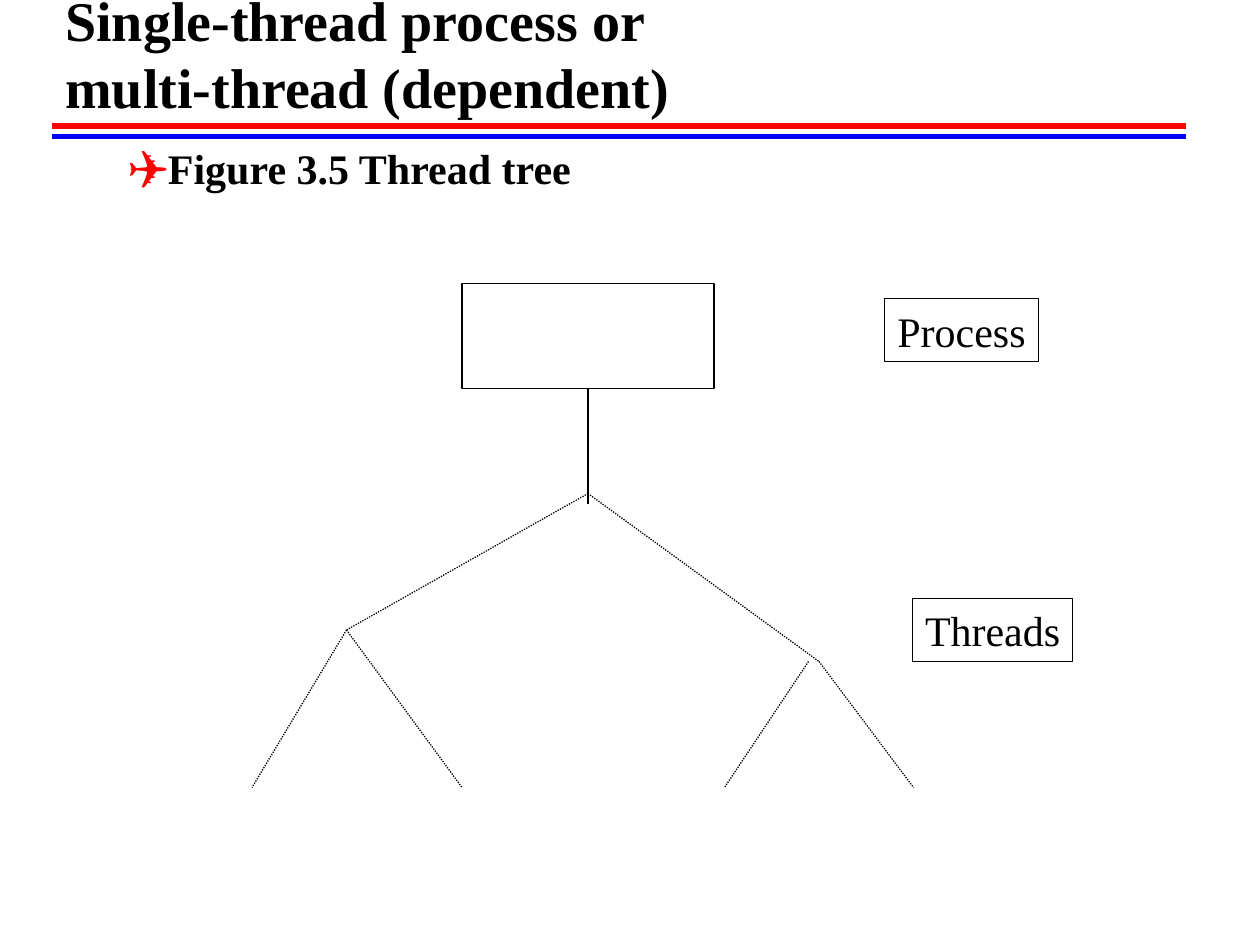
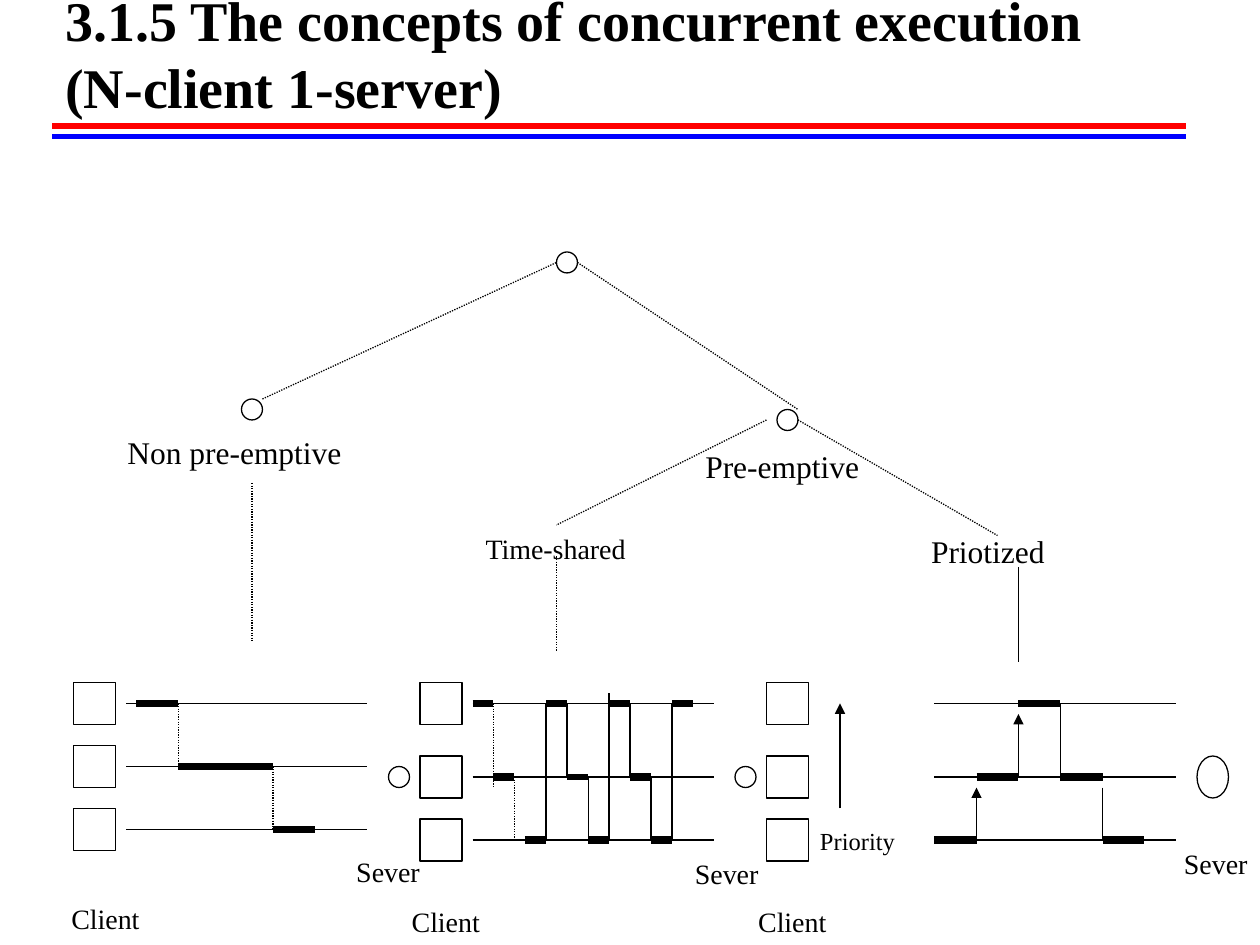
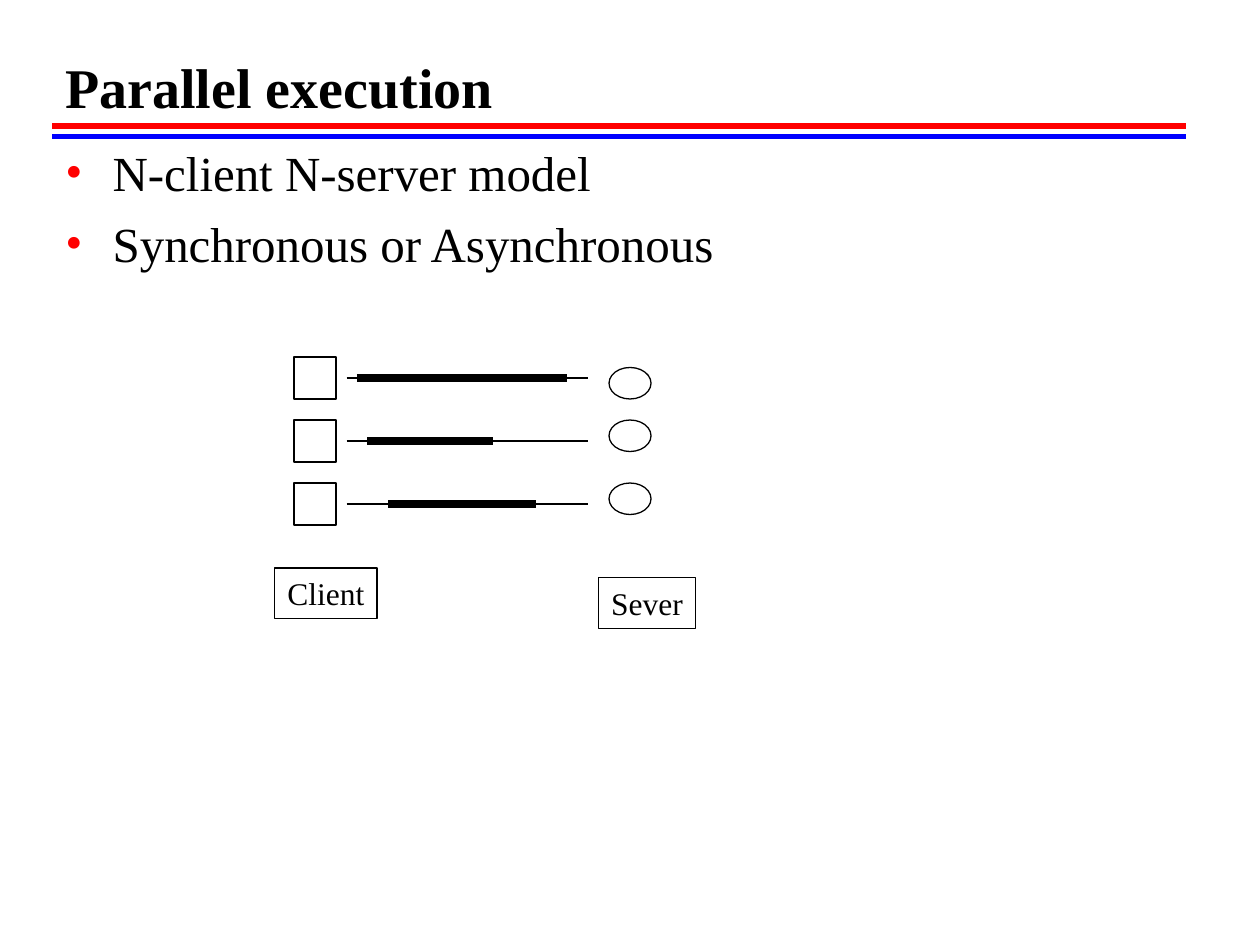
"""Build three slides on threads, concurrent execution and parallel execution."""
from dataclasses import dataclass

import lxml.etree
import pptx
import pptx.dml.color
import pptx.enum.dml
import pptx.enum.shapes
import pptx.enum.text
import pptx.oxml.ns
import pptx.util

Pt = pptx.util.Pt
qn = pptx.oxml.ns.qn
Preset = pptx.enum.shapes.MSO_SHAPE
Anchor = pptx.enum.text.MSO_ANCHOR

FONT = "Times New Roman"
BLACK = "000000"
RED = "FF0000"
BLUE = "0000FF"
THIN = 0.75
BURST_WIDTH = 4.5
CLIENT_SIZE = 24
LANE_LENGTH = 138
NODE_SIZE = 12


@dataclass(frozen=True)
class Link:
    x1: float
    y1: float
    x2: float
    y2: float
    width: float = THIN
    color: str = BLACK
    dotted: bool = False
    arrow: bool = False


@dataclass(frozen=True)
class Outline:
    left: float
    top: float
    width: float
    height: float
    preset: Preset = Preset.RECTANGLE


@dataclass(frozen=True)
class Label:
    text: str
    left: float
    top: float
    width: float
    height: float
    size: float
    boxed: bool = False


@dataclass(frozen=True)
class Burst:
    lane: int
    start: float
    end: float
    width: float = BURST_WIDTH


@dataclass(frozen=True)
class Timeline:
    client_left: float
    lane_left: float
    lanes: tuple[float, ...]
    bursts: tuple[Burst, ...]
    handoffs: tuple[Link, ...] = ()


@dataclass(frozen=True)
class BulletStyle:
    mark: str
    margin: float
    hanging: float
    size: float
    bold: bool
    gap: float


def rgb(color: str) -> pptx.dml.color.RGBColor:
    return pptx.dml.color.RGBColor.from_string(color)


def set_font(paragraph, size: float, bold: bool = False) -> None:
    paragraph.font.name = FONT
    paragraph.font.size = Pt(size)
    paragraph.font.bold = bold
    paragraph.font.color.rgb = rgb(BLACK)


def draw_link(slide, link: Link) -> None:
    connector = slide.shapes.add_connector(
        pptx.enum.shapes.MSO_CONNECTOR.STRAIGHT,
        Pt(link.x1), Pt(link.y1), Pt(link.x2), Pt(link.y2),
    )
    connector.line.color.rgb = rgb(link.color)
    connector.line.width = Pt(link.width)
    if link.dotted:
        connector.line.dash_style = pptx.enum.dml.MSO_LINE.ROUND_DOT
    properties = connector._element.spPr
    if link.arrow:
        lxml.etree.SubElement(properties.find(qn("a:ln")), qn("a:tailEnd"), type="triangle")
    lxml.etree.SubElement(properties, qn("a:effectLst"))


def draw_outline(slide, outline: Outline):
    shape = slide.shapes.add_shape(
        outline.preset,
        Pt(outline.left), Pt(outline.top), Pt(outline.width), Pt(outline.height),
    )
    shape.shadow.inherit = False
    shape.fill.background()
    shape.line.color.rgb = rgb(BLACK)
    shape.line.width = Pt(THIN)
    return shape


def draw_label(slide, label: Label) -> None:
    place = label.left, label.top, label.width, label.height
    if label.boxed:
        shape = draw_outline(slide, Outline(*place))
    else:
        shape = slide.shapes.add_textbox(*map(Pt, place))
    frame = shape.text_frame
    frame.text = label.text
    frame.word_wrap = False
    frame.auto_size = pptx.enum.text.MSO_AUTO_SIZE.SHAPE_TO_FIT_TEXT
    frame.vertical_anchor = Anchor.MIDDLE
    paragraph = frame.paragraphs[0]
    paragraph.alignment = pptx.enum.text.PP_ALIGN.CENTER
    set_font(paragraph, label.size)


def draw_timeline(slide, timeline: Timeline) -> None:
    for y in timeline.lanes:
        draw_outline(slide, Outline(timeline.client_left, y - CLIENT_SIZE / 2, CLIENT_SIZE, CLIENT_SIZE))
        draw_link(slide, Link(timeline.lane_left, y, timeline.lane_left + LANE_LENGTH, y))
    for burst in timeline.bursts:
        y = timeline.lanes[burst.lane]
        draw_link(slide, Link(burst.start, y, burst.end, y, burst.width))
    for handoff in timeline.handoffs:
        draw_link(slide, handoff)


def draw_bullets(slide, style: BulletStyle, lines: list[str]) -> None:
    frame = slide.shapes.add_textbox(Pt(30.25), Pt(78), Pt(650), Pt(444)).text_frame
    frame.word_wrap = True
    frame.text = "\n".join(lines)
    for index, paragraph in enumerate(frame.paragraphs):
        properties = paragraph._p.get_or_add_pPr()
        properties.set("marL", str(Pt(style.margin)))
        properties.set("indent", str(Pt(-style.hanging)))
        bullet_color = lxml.etree.SubElement(properties, qn("a:buClr"))
        lxml.etree.SubElement(bullet_color, qn("a:srgbClr"), val=RED)
        lxml.etree.SubElement(properties, qn("a:buFont"), typeface=FONT)
        lxml.etree.SubElement(properties, qn("a:buChar"), char=style.mark)
        if index:
            paragraph.space_before = Pt(style.gap)
        set_font(paragraph, style.size, style.bold)


def add_titled_slide(deck, title: str):
    slide = deck.slides.add_slide(deck.slide_layouts[6])
    for y, color in ((78, BLUE), (72, RED)):
        draw_link(slide, Link(30, y, 678, y, 3, color))
    frame = slide.shapes.add_textbox(Pt(30.25), Pt(18), Pt(648), Pt(54)).text_frame
    frame.word_wrap = True
    frame.vertical_anchor = Anchor.BOTTOM
    frame.text = title
    set_font(frame.paragraphs[0], 32, True)
    return slide


def build_thread_tree(deck) -> None:
    slide = add_titled_slide(deck, "Single-thread process or\vmulti-thread (dependent)")
    draw_bullets(slide, BulletStyle("✈", 58.5, 22.5, 24, True, 6), ["Figure 3.5 Thread tree"])
    draw_outline(slide, Outline(264, 162, 144, 60))
    draw_link(slide, Link(336, 222, 336, 288))
    threads = (
        (336, 282, 198, 360), (336, 282, 468, 378),
        (198, 360, 144, 450), (198, 360, 264, 450),
        (462, 378, 414, 450), (468, 378, 522, 450),
    )
    for thread in threads:
        draw_link(slide, Link(*thread, dotted=True))
    draw_label(slide, Label("Process", 505.5, 170.75, 88, 36, 24, True))
    draw_label(slide, Label("Threads", 521.5, 342, 91.5, 36, 24, True))


def build_concurrent_execution(deck) -> None:
    slide = add_titled_slide(deck, "3.1.5 The concepts of concurrent execution (N-client 1-server)")
    for left, top in ((318, 144), (138, 228), (444, 234), (222, 438), (420, 438)):
        draw_outline(slide, Outline(left, top, NODE_SIZE, NODE_SIZE, Preset.OVAL))
    draw_outline(slide, Outline(684, 432, 18, 24, Preset.OVAL))

    branches = (
        (150, 228, 318, 150), (330, 150, 456, 234), (144, 276, 144, 366),
        (438, 240, 318, 300), (456, 240, 570, 306), (318, 318, 318, 372),
    )
    for branch in branches:
        draw_link(slide, Link(*branch, dotted=True))
    draw_link(slide, Link(582, 324, 582, 378))
    draw_link(slide, Link(480, 462, 480, 402, arrow=True))

    lanes = (402, 444, 480)
    top, middle, bottom = lanes
    slices = ((0, 270), (1, 282), (2, 300), (0, 312), (2, 336), (0, 348), (1, 360), (2, 372), (0, 384))
    non_preemptive = Timeline(
        42, 72, (402, 438, 474),
        (Burst(0, 78, 102), Burst(1, 102, 156), Burst(2, 156, 180)),
        (Link(102, 402, 102, 438, dotted=True), Link(156, 438, 156, 474, dotted=True)),
    )
    time_shared = Timeline(
        240, 270, lanes,
        (*(Burst(lane, start, start + 12) for lane, start in slices), Burst(1, 324, 336, 3)),
        (
            Link(282, top, 282, 450, dotted=True),
            Link(294, middle, 294, bottom, dotted=True),
            Link(312, bottom, 312, top),
            Link(324, top, 324, middle),
            Link(336, middle, 336, bottom, 0.25),
            Link(348, bottom, 348, 396),
            Link(360, top, 360, middle),
            Link(372, middle, 372, bottom),
            Link(384, bottom, 384, top),
        ),
    )
    prioritized = Timeline(
        438, 534, lanes,
        tuple(Burst(lane, 534 + 24 * step, 558 + 24 * step) for step, lane in enumerate((2, 1, 0, 1, 2))),
        (
            Link(558, bottom, 558, 450, arrow=True),
            Link(582, middle, 582, 408, arrow=True),
            Link(606, top, 606, middle),
            Link(630, 450, 630, bottom),
        ),
    )
    for timeline in (non_preemptive, time_shared, prioritized):
        draw_timeline(slide, timeline)

    policies = (
        Label("Non pre-emptive", 64, 243.5, 140, 29, 18),
        Label("Pre-emptive", 394.5, 252, 105, 29, 18),
        Label("Time-shared", 270, 300, 95, 26.5, 16),
        Label("Priotized", 523.5, 300.5, 82, 29, 18),
        Label("Priority", 460, 468, 60, 24.5, 14),
    )
    for policy in policies:
        draw_label(slide, policy)
    for left, y in ((196.5, 484.5), (669.5, 480), (390, 486)):
        draw_label(slide, Label("Sever", left, y, 50.5, 26.5, 16))
    for left, y in ((33.5, 511.5), (426, 513.5), (228, 513.5)):
        draw_label(slide, Label("Client", left, y, 53.5, 26.5, 16))


def build_parallel_execution(deck) -> None:
    slide = add_titled_slide(deck, "Parallel execution")
    draw_bullets(
        slide, BulletStyle("•", 27, 27, 28, False, 7),
        ["N-client N-server model", "Synchronous or Asynchronous"],
    )
    draw_timeline(slide, Timeline(
        168, 198, (216, 252, 288),
        (Burst(0, 204, 324), Burst(1, 210, 282), Burst(2, 222, 306)),
    ))
    for server_top in (210, 240, 276):
        draw_outline(slide, Outline(348, server_top, 24, 18, Preset.OVAL))
    draw_label(slide, Label("Sever", 342, 330, 55.5, 29, 18, True))
    draw_label(slide, Label("Client", 157, 324.5, 58.5, 29, 18, True))


def main() -> None:
    deck = pptx.Presentation()
    deck.slide_width = Pt(720)
    deck.slide_height = Pt(540)
    build_thread_tree(deck)
    build_concurrent_execution(deck)
    build_parallel_execution(deck)
    deck.save("out.pptx")


if __name__ == "__main__":
    main()
